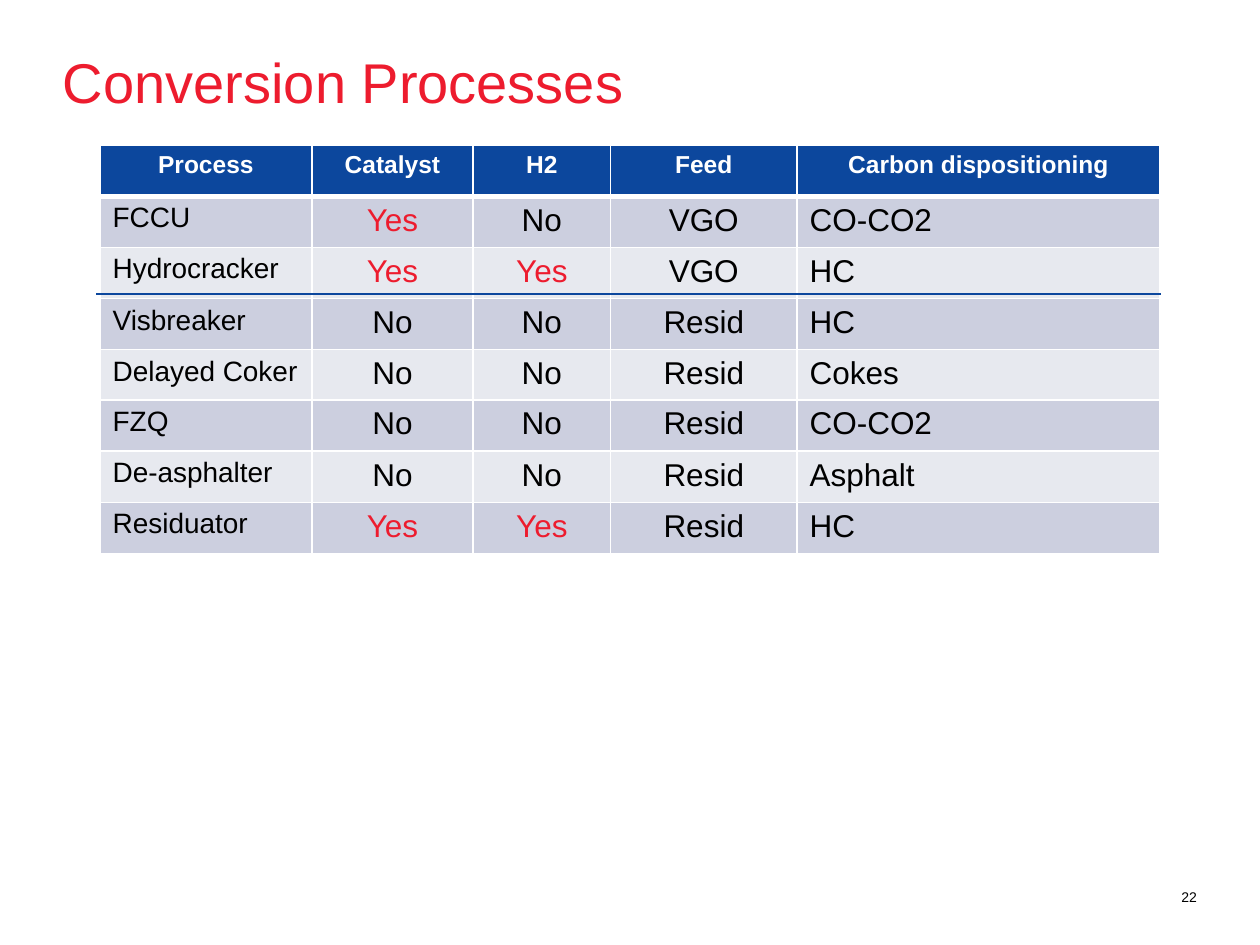
from dataclasses import dataclass

from lxml.etree import SubElement
from pptx import Presentation
from pptx.dml.color import RGBColor
from pptx.enum.shapes import MSO_CONNECTOR
from pptx.enum.text import MSO_ANCHOR, PP_ALIGN
from pptx.oxml.ns import qn
from pptx.util import Pt


@dataclass(frozen=True)
class Theme:
    font: str = "Arial"
    red: str = "ED1C2E"
    blue: str = "0C479D"
    black: str = "000000"
    white: str = "FFFFFF"
    bands: tuple = ("CCCFDF", "E7E9EF")
    title_size: int = 32
    header_size: int = 14
    name_size: int = 16
    value_size: int = 18
    number_size: int = 8


THEME = Theme()
HEADERS = ["Process", "Catalyst", "H2", "Feed", "Carbon dispositioning"]
PROCESSES = [
    ["FCCU", "Yes", "No", "VGO", "CO-CO2"],
    ["Hydrocracker", "Yes", "Yes", "VGO", "HC"],
    ["Visbreaker", "No", "No", "Resid", "HC"],
    ["Delayed Coker", "No", "No", "Resid", "Cokes"],
    ["FZQ", "No", "No", "Resid", "CO-CO2"],
    ["De-asphalter", "No", "No", "Resid", "Asphalt"],
    ["Residuator", "Yes", "Yes", "Resid", "HC"],
]
COLUMN_WIDTHS = [121, 92.2, 78.5, 106.6, 207.4]
ROW_HEIGHT = 29.2
COMPACT_ROW, COMPACT_HEIGHT = 4, 22.3


def write(frame, text, size, color, align=PP_ALIGN.LEFT, bold=False):
    para = frame.paragraphs[0]
    para.alignment = align
    span = para.add_run()
    span.text = text
    span.font.name = THEME.font
    span.font.size = Pt(size)
    span.font.bold = bold
    span.font.color.rgb = RGBColor.from_string(color)


def add_label(page, box, text, size, color, align=PP_ALIGN.LEFT, inset_top=0):
    frame = page.shapes.add_textbox(*map(Pt, box)).text_frame
    frame.word_wrap = True
    frame.vertical_anchor = MSO_ANCHOR.TOP
    frame.margin_left = frame.margin_right = frame.margin_bottom = 0
    frame.margin_top = Pt(inset_top)
    write(frame, text, size, color, align)


def style_cell(cell, fill, bottom_width):
    # Borders come before the fill in the cell properties
    properties = cell._tc.get_or_add_tcPr()
    widths = {"a:lnL": 1, "a:lnR": 1, "a:lnT": 1, "a:lnB": bottom_width}
    for side, width in widths.items():
        line = SubElement(properties, qn(side), w=str(Pt(width)))
        solid = SubElement(line, qn("a:solidFill"))
        SubElement(solid, qn("a:srgbClr"), val=THEME.white)
    cell.fill.solid()
    cell.fill.fore_color.rgb = RGBColor.from_string(fill)


def add_process_table(page, left, top):
    rows = [HEADERS] + PROCESSES
    heights = [COMPACT_HEIGHT if row == COMPACT_ROW else ROW_HEIGHT
               for row in range(len(rows))]
    table = page.shapes.add_table(
        len(rows), len(HEADERS), Pt(left), Pt(top),
        Pt(sum(COLUMN_WIDTHS)), Pt(sum(heights))).table
    for column, width in zip(table.columns, COLUMN_WIDTHS):
        column.width = Pt(width)
    for row, height in zip(table.rows, heights):
        row.height = Pt(height)

    last_column = len(HEADERS) - 1
    for row, values in enumerate(rows):
        for column, text in enumerate(values):
            cell = table.cell(row, column)
            if row == 0:
                style_cell(cell, THEME.blue, 3)
                write(cell.text_frame, text, THEME.header_size, THEME.white,
                      PP_ALIGN.CENTER, bold=True)
                continue
            # A thick rule under the header is shared with the first row
            style_cell(cell, THEME.bands[(row - 1) % 2], 1)
            if row == 1:
                cell._tc.tcPr.find(qn("a:lnT")).set("w", str(Pt(3)))
            size = THEME.name_size if column == 0 else THEME.value_size
            color = THEME.red if text == "Yes" else THEME.black
            align = (PP_ALIGN.LEFT if column in (0, last_column)
                     else PP_ALIGN.CENTER)
            write(cell.text_frame, text, size, color, align)


def add_divider(page, left, right, y):
    line = page.shapes.add_connector(
        MSO_CONNECTOR.STRAIGHT, Pt(left), Pt(y), Pt(right), Pt(y))
    line.line.color.rgb = RGBColor.from_string(THEME.blue)
    line.line.width = Pt(1.5)
    SubElement(line._element.spPr, qn("a:effectLst"))


def main():
    deck = Presentation()
    deck.slide_width, deck.slide_height = Pt(720), Pt(540)
    page = deck.slides.add_slide(deck.slide_layouts[6])

    # Page number and title
    add_label(page, (661, 507.6, 23, 13.7), "22", THEME.number_size,
              THEME.black, PP_ALIGN.RIGHT)
    add_label(page, (36, 23, 648, 59.8), "Conversion Processes",
              THEME.title_size, THEME.red, inset_top=4)

    # Process comparison, with a rule below the catalytic gas-oil units
    add_process_table(page, 57.2, 83)
    add_divider(page, 54.9, 663.6, 168)

    deck.save("out.pptx")


if __name__ == "__main__":
    main()
